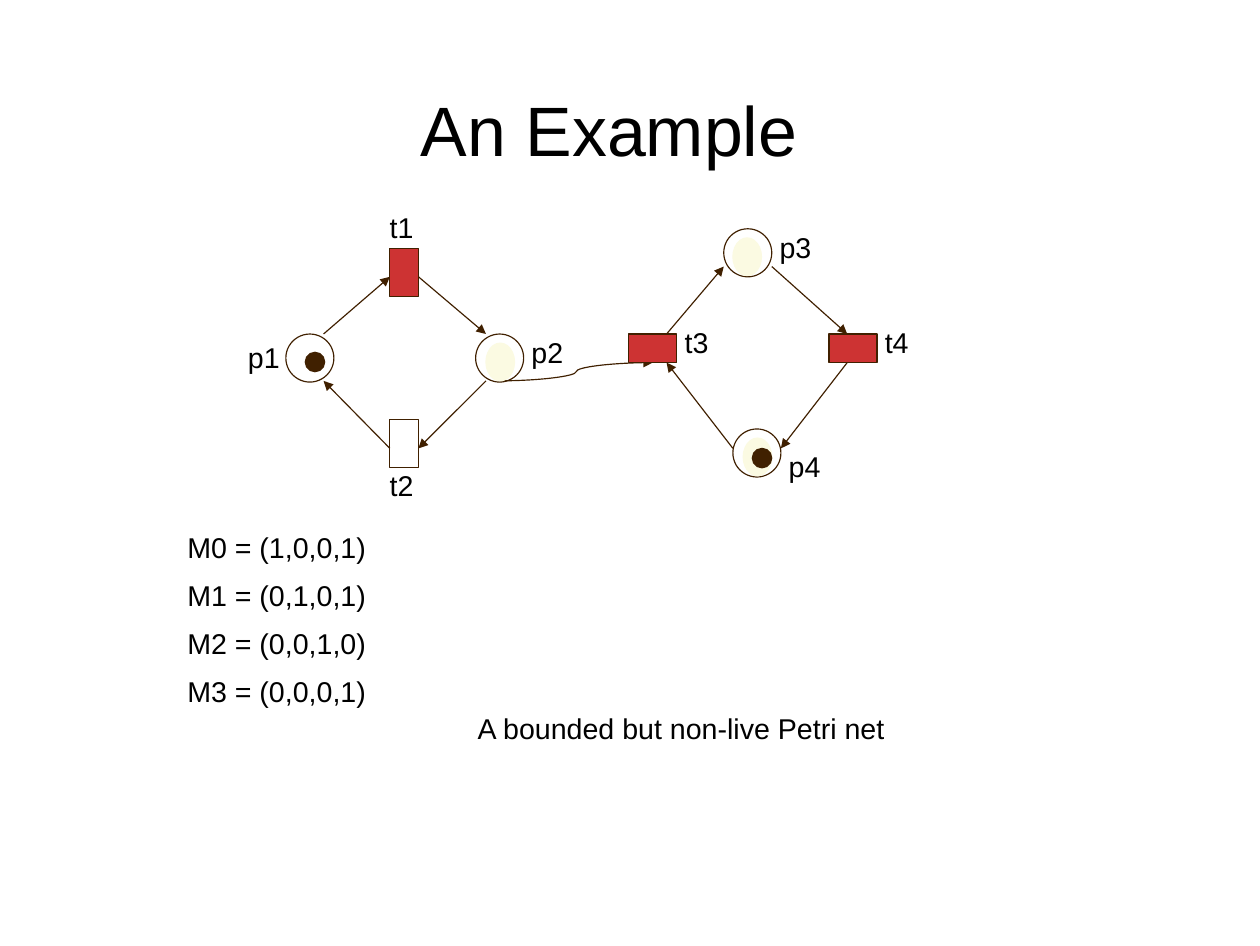
from pptx import Presentation
from pptx.dml.color import RGBColor
from pptx.enum.shapes import MSO_CONNECTOR as LINK, MSO_SHAPE as SHAPE
from pptx.enum.text import MSO_ANCHOR as ANCHOR, PP_ALIGN as ALIGN
from pptx.oxml.ns import qn
from pptx.util import Inches, Pt
from lxml.etree import SubElement

BROWN, RED, CREAM, BLACK = "402000", "CD3333", "FBFAE2", "000000"
PLACE = 0.42  # diameter of a place, long side of a transition
BAR = 0.25    # short side of a transition

deck = Presentation()
deck.slide_width, deck.slide_height = Inches(11.02), Inches(8.27)
slide = deck.slides.add_slide(deck.slide_layouts[5])


def write(frame, text, size=18, align=ALIGN.LEFT, anchor=ANCHOR.TOP,
          wrap=False, right=0):
    frame.word_wrap = wrap
    frame.margin_right = Inches(right)
    frame.vertical_anchor = anchor
    frame.text = text
    line = frame.paragraphs[0]
    line.alignment = align
    line.font.size, line.font.name = Pt(size), "Arial"
    line.font.color.rgb = RGBColor.from_string(BLACK)


def draw(kind, left, top, width, height, fill=None, outline=BROWN):
    node = slide.shapes.add_shape(
        kind, Inches(left), Inches(top), Inches(width), Inches(height))
    node.shadow.inherit = False
    if fill:
        node.fill.solid()
        node.fill.fore_color.rgb = RGBColor.from_string(fill)
    else:
        node.fill.background()
    node.line.color.rgb = RGBColor.from_string(outline)
    node.line.width = Pt(0.75)


# Title
title = slide.shapes.title
title.left, title.top = Inches(1.08), Inches(0.5)
title.width, title.height = Inches(8.5), Inches(1.25)
write(title.text_frame, "An Example", size=44, align=ALIGN.CENTER,
      anchor=ANCHOR.MIDDLE, wrap=True, right=0.1)

# Places p1 to p4
for left, top in [(2.5, 2.92), (4.16, 2.92), (6.33, 2), (6.41, 3.75)]:
    draw(SHAPE.OVAL, left, top, PLACE, PLACE)

# Arcs between places and transitions
arcs = [
    (LINK.STRAIGHT, 2.83, 2.92, 3.41, 2.42),  # p1 to t1
    (LINK.STRAIGHT, 3.66, 2.42, 4.25, 2.92),  # t1 to p2
    (LINK.STRAIGHT, 4.25, 3.33, 3.66, 3.92),  # p2 to t2
    (LINK.STRAIGHT, 3.41, 3.92, 2.83, 3.33),  # t2 to p1
    (LINK.CURVE, 4.37, 3.33, 5.71, 3.17),     # p2 to t3
    (LINK.STRAIGHT, 5.83, 2.92, 6.33, 2.33),  # t3 to p3
    (LINK.STRAIGHT, 6.75, 2.33, 7.41, 2.92),  # p3 to t4
    (LINK.STRAIGHT, 7.41, 3.17, 6.83, 3.92),  # t4 to p4
    (LINK.STRAIGHT, 6.41, 3.92, 5.83, 3.17),  # p4 to t3
]
for kind, *ends in arcs:
    arc = slide.shapes.add_connector(kind, *map(Inches, ends))
    arc.line.color.rgb = RGBColor.from_string(BROWN)
    arc.line.width = Pt(0.75)
    SubElement(arc.line._get_or_add_ln(), qn("a:tailEnd"), type="triangle")
    SubElement(arc._element.spPr, qn("a:effectLst"))

# Empty spots in p2, p3 and p4
for left, top in [(4.25, 3), (6.41, 2.08), (6.5, 3.83)]:
    draw(SHAPE.OVAL, left, top, BAR, 0.33, fill=CREAM, outline=CREAM)

# Tokens in p1 and p4
for left, top in [(2.67, 3.08), (6.58, 3.92)]:
    draw(SHAPE.OVAL, left, top, 0.17, 0.17, fill=BROWN)

# Transitions: t1 and t2 upright, t3 and t4 lying
draw(SHAPE.RECTANGLE, 3.41, 2.17, BAR, PLACE, fill=RED)
draw(SHAPE.RECTANGLE, 3.41, 3.67, BAR, PLACE)
for left in (5.5, 7.25):
    draw(SHAPE.RECTANGLE, left, 2.92, PLACE, BAR, fill=RED)

# Node labels, markings and conclusion
captions = [
    ("p1", 2.07, 2.92, 0.47), ("p2", 4.55, 2.88, 0.47),
    ("p3", 6.72, 1.96, 0.47), ("p4", 6.8, 3.88, 0.47),
    ("t1", 3.31, 1.79, 0.4), ("t2", 3.31, 4.04, 0.4),
    ("t3", 5.89, 2.79, 0.4), ("t4", 7.64, 2.79, 0.4),
    ("A bounded but non-live Petri net", 4.08, 6.17, 3.75),
]
markings = ["1,0,0,1", "0,1,0,1", "0,0,1,0", "0,0,0,1"]
for step, marking in enumerate(markings):
    captions.append((f"M{step} = ({marking})", 1.54, 4.58 + 0.42 * step, 1.76))
for text, left, top, width in captions:
    caption = slide.shapes.add_textbox(
        Inches(left), Inches(top), Inches(width), Inches(0.4))
    write(caption.text_frame, text)

deck.save("out.pptx")
